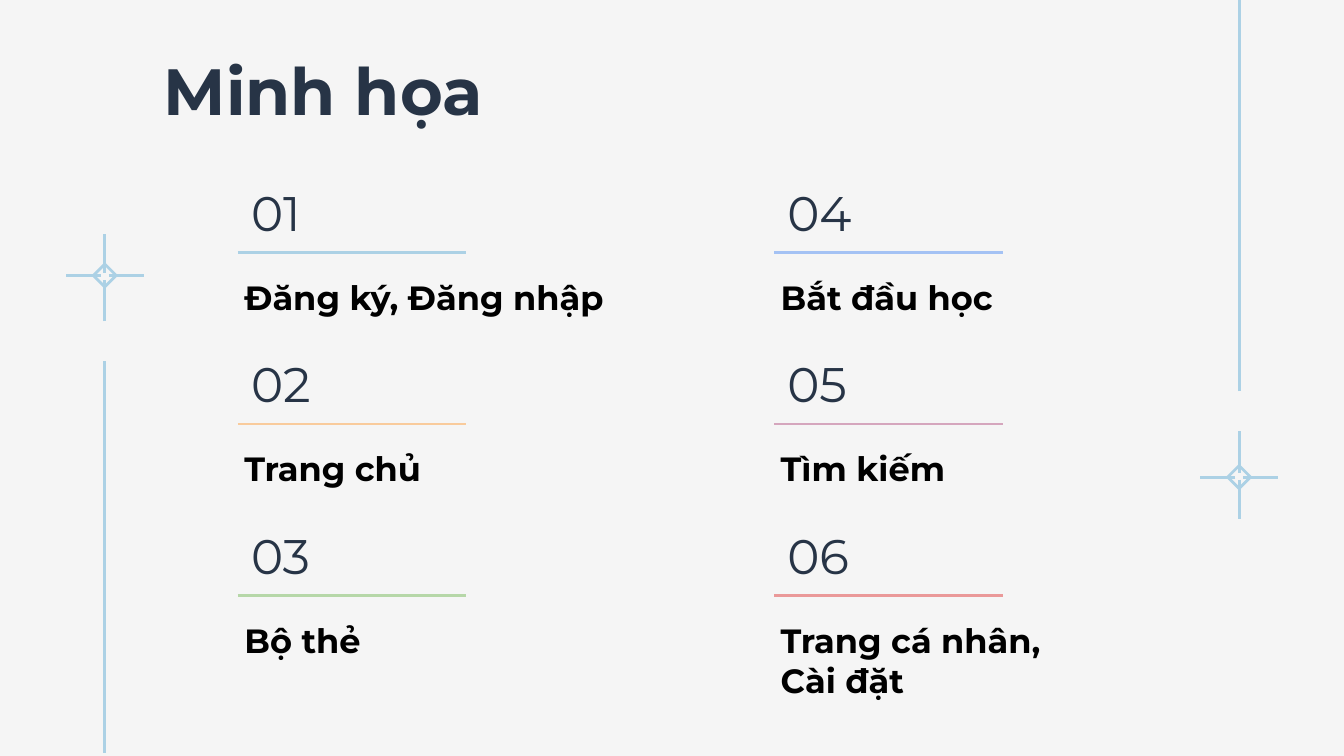
from lxml import etree
from pptx import Presentation
from pptx.dml.color import RGBColor
from pptx.enum.shapes import MSO_CONNECTOR
from pptx.oxml.ns import qn
from pptx.util import Inches, Pt

BACKGROUND = RGBColor(0xF5, 0xF5, 0xF5)
NAVY = RGBColor(0x27, 0x34, 0x46)
BLACK = RGBColor(0x00, 0x00, 0x00)
SKY = RGBColor(0xAC, 0xD1, 0xE5)
ORANGE = RGBColor(0xF9, 0xCB, 0x9C)
GREEN = RGBColor(0xB6, 0xD7, 0xA8)
BLUE = RGBColor(0xA4, 0xC2, 0xF4)
PINK = RGBColor(0xD5, 0xA6, 0xBD)
RED = RGBColor(0xEA, 0x99, 0x99)

# Grid of topics, in inches
ROWS = 3
LEFT, COLUMN_STEP = 1.77, 3.99
TOP, ROW_STEP = 1.31, 1.275

presentation = Presentation()
presentation.slide_width = Inches(10)
presentation.slide_height = presentation.slide_width * 9 // 16
slide = presentation.slides.add_slide(presentation.slide_layouts[6])
slide.background.fill.solid()
slide.background.fill.fore_color.rgb = BACKGROUND


def add_line(x1, y1, x2, y2, color):
    line = slide.shapes.add_connector(
        MSO_CONNECTOR.STRAIGHT, Inches(x1), Inches(y1), Inches(x2), Inches(y2))
    line.line.color.rgb = color
    line.line.width = Pt(1.5)
    etree.SubElement(line._element.spPr, qn("a:effectLst"))


def add_text(text, left, top, width, height, size, color, bold=False):
    """Add a one-paragraph text box and return its paragraph."""
    box = slide.shapes.add_textbox(
        Inches(left), Inches(top), Inches(width), Inches(height))
    frame = box.text_frame
    frame.word_wrap = True
    frame.margin_left = frame.margin_right = Inches(0.1)
    frame.margin_top = frame.margin_bottom = Inches(0.1)
    paragraph = frame.paragraphs[0]
    paragraph.text = text
    paragraph.font.name = "Montserrat"
    paragraph.font.size = Pt(size)
    paragraph.font.bold = bold
    paragraph.font.color.rgb = color
    return paragraph


# Side ornaments: the left one is the right one turned by 180 degrees
RADIUS = 0.085
RAYS = [
    (0, -0.34, 0, -0.03),
    (0, 0.02, 0, 0.31),
    (0.03, 0, 0.29, 0),
    (-0.03, 0, -0.29, 0),
    (0, -0.64, 0, -3.55),
]
for center_x, center_y, turn in [(9.22, 3.55, 1), (0.78, 2.05, -1)]:
    builder = slide.shapes.build_freeform(
        Inches(center_x), Inches(center_y - RADIUS))
    builder.add_line_segments([
        (Inches(center_x + RADIUS), Inches(center_y)),
        (Inches(center_x), Inches(center_y + RADIUS)),
        (Inches(center_x - RADIUS), Inches(center_y)),
    ], close=True)
    diamond = builder.convert_to_shape()
    diamond.shadow.inherit = False
    diamond.fill.background()
    diamond.line.color.rgb = SKY
    diamond.line.width = Pt(1.5)
    for x1, y1, x2, y2 in RAYS:
        add_line(center_x + turn * x1, center_y + turn * y1,
                 center_x + turn * x2, center_y + turn * y2, SKY)

add_text("Minh họa", 1.12, 0.27, 5.53, 0.79, 35, NAVY, bold=True)

# Topics run down each column: text, colour, width and height of the text
topics = [
    ("Đăng ký, Đăng nhập", SKY, 2.93, 0.5),
    ("Trang chủ", ORANGE, 2.32, 0.5),
    ("Bộ thẻ", GREEN, 2.32, 0.5),
    ("Bắt đầu học", BLUE, 2.32, 0.5),
    ("Tìm kiếm", PINK, 2.32, 0.5),
    ("Trang cá nhân, Cài đặt", RED, 2.32, 0.81),
]
for index, (topic, color, width, height) in enumerate(topics):
    column, row = divmod(index, ROWS)
    left = LEFT + column * COLUMN_STEP
    top = TOP + row * ROW_STEP
    number = add_text(f"{index + 1:02}", left, top, 2.64, 0.65, 26, NAVY)
    number.line_spacing = 0.9
    label = add_text(topic, left - 0.05, top + 0.65, width, height, 18, BLACK, bold=True)
    label.space_after = Pt(16)
    add_line(left, top + 0.57, left + 1.7, top + 0.57, color)

presentation.save("out.pptx")
